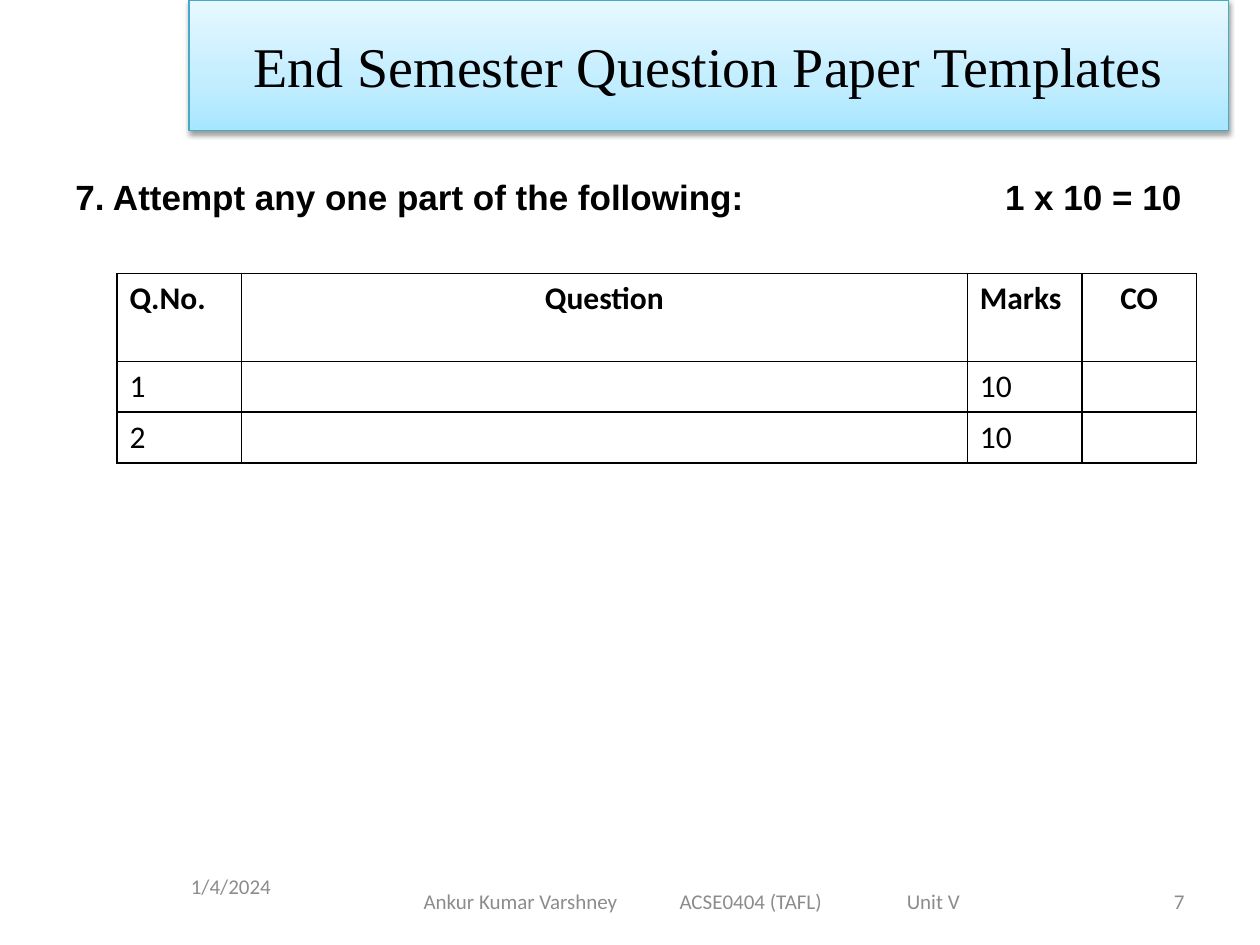
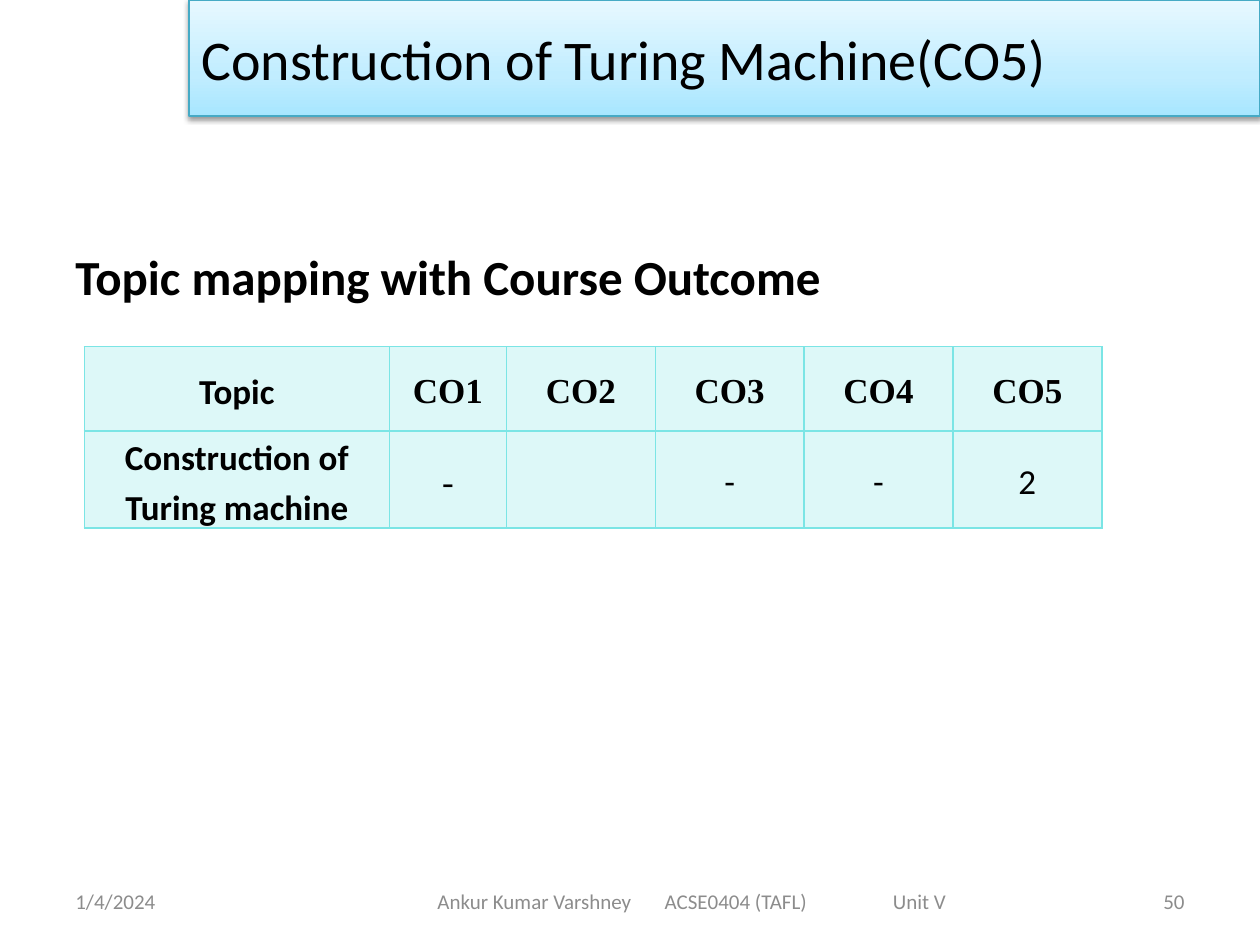
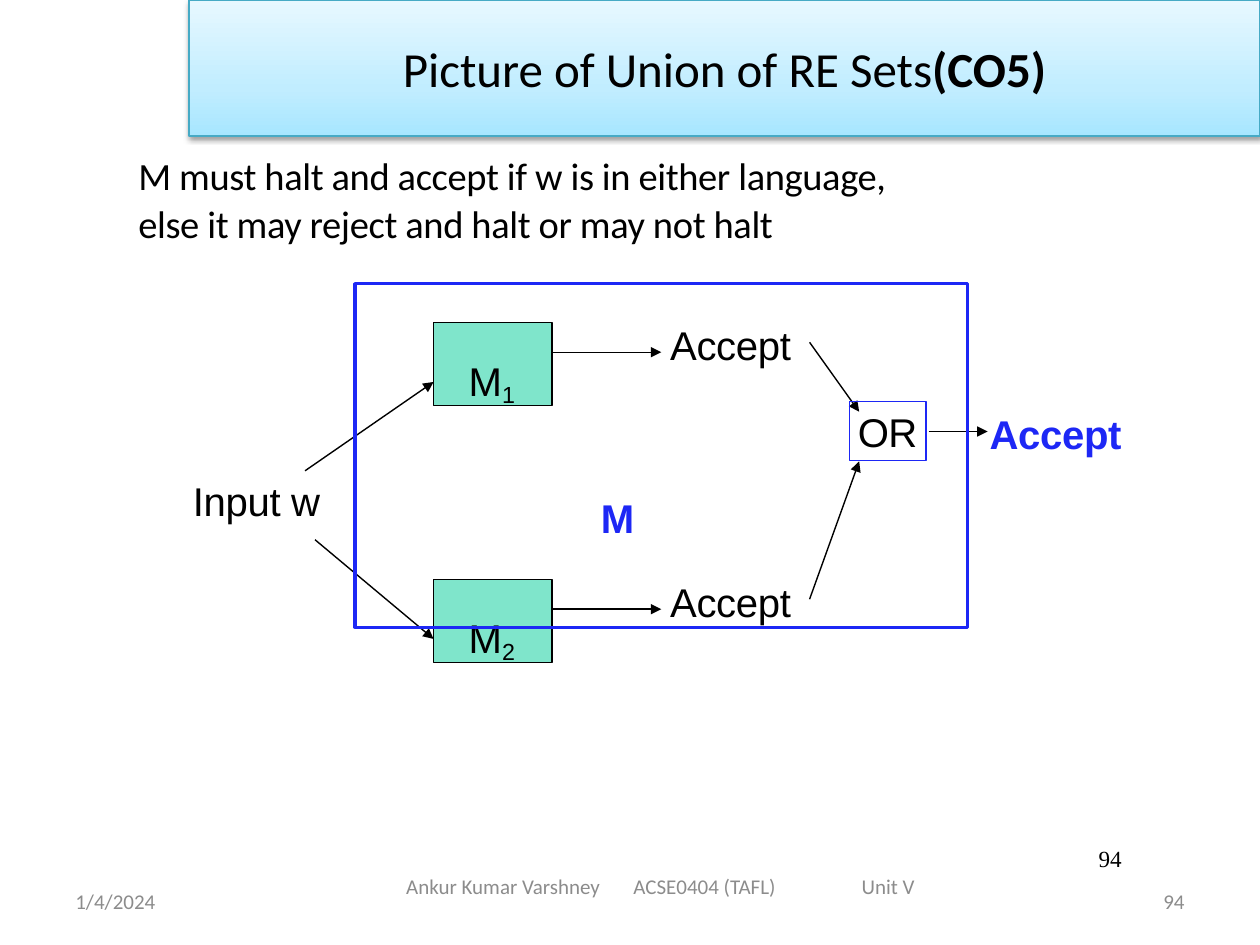
from copy import deepcopy

from lxml import etree
from pptx import Presentation
from pptx.dml.color import RGBColor
from pptx.enum import shapes, text
from pptx.oxml.ns import qn
from pptx.util import Cm, Pt

BLACK = RGBColor(0x00, 0x00, 0x00)
WHITE = RGBColor(0xFF, 0xFF, 0xFF)
GREY = RGBColor(0x8C, 0x8C, 0x8C)
BLUE = RGBColor(0x1D, 0x27, 0xF5)
GREEN = RGBColor(0x00, 0xCC, 0x99)
AQUA = RGBColor(0x7B, 0xE5, 0xE5)
BAND_LINE = RGBColor(0x46, 0xAA, 0xC5)
BAND_STOPS = [(0, RGBColor(0xA7, 0xE6, 0xFF)), (0.35, RGBColor(0xC1, 0xED, 0xFF)),
              (1, RGBColor(0xE7, 0xF8, 0xFF))]

LEFT, CENTER, RIGHT = text.PP_ALIGN.LEFT, text.PP_ALIGN.CENTER, text.PP_ALIGN.RIGHT
TOP, MIDDLE = text.MSO_ANCHOR.TOP, text.MSO_ANCHOR.MIDDLE
FOOTER_TOP = 17.65
DIAGRAM_SIZE = 22.9


# Shared helpers
def add_child(parent, tag, **attributes):
    return etree.SubElement(parent, qn(tag), attributes)


def set_opacity(properties, percent):
    color = properties.find(f"{qn('a:solidFill')}/{qn('a:srgbClr')}")
    add_child(color, "a:alpha", val=str(percent * 1000))


def write(paragraph, words, size, font="Calibri", color=BLACK, bold=False,
          align=LEFT, tabs=(), spacing=0):
    """Fill a paragraph; tabs are (position in cm, alignment) pairs."""
    paragraph.text = words
    paragraph.alignment = align
    if tabs:
        tab_list = add_child(paragraph._p.get_or_add_pPr(), "a:tabLst")
        for position, side in tabs:
            add_child(tab_list, "a:tab", pos=str(int(Cm(position))), algn=side)
    paragraph.font.size = Pt(size)
    paragraph.font.name = font
    paragraph.font.color.rgb = color
    paragraph.font.bold = bold
    if spacing:
        for run in paragraph.runs:
            run._r.get_or_add_rPr().set("spc", str(int(spacing * 100)))


def set_frame(shape, margins, anchor, wrap):
    frame = shape.text_frame
    frame.word_wrap = wrap
    frame.vertical_anchor = anchor
    frame.margin_left, frame.margin_top, frame.margin_right, frame.margin_bottom = map(Cm, margins)
    return frame.paragraphs[0]


def add_text(slide, box, words, size, margins=(0.25, 0.13, 0.25, 0.13),
             anchor=MIDDLE, wrap=True, **style):
    shape = slide.shapes.add_textbox(*map(Cm, box))
    paragraph = set_frame(shape, margins, anchor, wrap)
    write(paragraph, words, size, **style)
    return paragraph


# Title band and footer
def add_band(slide, width, height, words, size, **style):
    title = slide.shapes.title
    title.left, title.top, title.width, title.height = Cm(3.81), 0, Cm(width), Cm(height)
    title.fill.gradient()
    title.fill.gradient_angle = 90
    stop_list = title._element.spPr.find(f".//{qn('a:gsLst')}")
    stop_list.append(deepcopy(stop_list[0]))
    for stop, (position, color) in zip(title.fill.gradient_stops, BAND_STOPS):
        stop.position = position
        stop.color.rgb = color
    title.line.color.rgb = BAND_LINE
    title.line.width = Pt(0.75)
    effects = add_child(title._element.spPr, "a:effectLst")
    shadow = add_child(effects, "a:outerShdw", blurRad="40000", dist="20000",
                       dir="5400000", rotWithShape="0")
    add_child(add_child(shadow, "a:srgbClr", val="000000"), "a:alpha", val="38000")
    title.text_frame.auto_size = text.MSO_AUTO_SIZE.NONE
    title.text_frame.vertical_anchor = MIDDLE
    paragraph = title.text_frame.paragraphs[0]
    write(paragraph, words, size, **style)
    return paragraph


def add_footer(slide, number, date_box=(1.27, FOOTER_TOP, 5.92, 1.02), date_align=LEFT,
               left=6.98, top=FOOTER_TOP, inset=1.84, stops=(4.58, 9.18)):
    add_text(slide, date_box, "1/4/2024", 12, color=GREY, align=date_align)
    add_text(slide, (left, top, 13.97, 1.02),
             "Ankur Kumar Varshney\tACSE0404 (TAFL)\tUnit V", 12, color=GREY,
             margins=(inset, 0.13, 0, 0.13), tabs=[(stop, "l") for stop in stops])
    add_text(slide, (18.21, FOOTER_TOP, 5.92, 1.02), number, 12, color=GREY, align=RIGHT)


# Tables
def add_grid(slide, left, top, columns, rows, border, fill, opacity=100):
    table = slide.shapes.add_table(len(rows), len(columns), Cm(left), Cm(top),
                                   Cm(sum(columns)), Cm(sum(rows))).table
    table.first_row = table.horz_banding = False
    for column, width in zip(table.columns, columns):
        column.width = Cm(width)
    for row, height in zip(table.rows, rows):
        row.height = Cm(height)
    for cell in table.iter_cells():
        properties = cell._tc.get_or_add_tcPr()
        for side in "LRTB":
            line = add_child(properties, f"a:ln{side}", w=str(int(Pt(1))))
            add_child(add_child(line, "a:solidFill"), "a:srgbClr", val=str(border))
        cell.fill.solid()
        cell.fill.fore_color.rgb = fill
        if opacity < 100:
            set_opacity(properties, opacity)
    return table


# Diagram parts
def add_box(slide, box, line_color, line_width, fill=None):
    shape = slide.shapes.add_shape(shapes.MSO_SHAPE.RECTANGLE, *map(Cm, box))
    shape.shadow.inherit = False
    shape.line.color.rgb = line_color
    shape.line.width = Pt(line_width)
    if fill is None:
        shape.fill.background()
    else:
        shape.fill.solid()
        shape.fill.fore_color.rgb = fill
        set_opacity(shape._element.spPr, 50)
    return shape


def add_machine(slide, left, top, index):
    machine = add_box(slide, (left, top, 2.39, 1.68), BLACK, 0.8, GREEN)
    paragraph = set_frame(machine, (0.71, 0.69, 0, 0), TOP, False)
    write(paragraph, "M", DIAGRAM_SIZE, "Arial")
    subscript = paragraph.add_run()
    subscript.text = index
    subscript._r.get_or_add_rPr().set("baseline", "-16000")


def add_arrow(slide, *ends):
    arrow = slide.shapes.add_connector(shapes.MSO_CONNECTOR.STRAIGHT, *map(Cm, ends))
    arrow.line.color.rgb = BLACK
    arrow.line.width = Pt(0.8)
    properties = arrow._element.spPr
    add_child(properties.find(qn("a:ln")), "a:tailEnd", type="triangle")
    add_child(properties, "a:effectLst")


def add_label(slide, left, middle, width, words, size=DIAGRAM_SIZE, font="Arial", **style):
    add_text(slide, (left, middle - 0.5, width, 1), words, size, margins=(0, 0, 0, 0),
             wrap=False, font=font, **style)


# Slides
def build_question_paper(slide):
    add_band(slide, 20.95, 2.63, "End Semester Question Paper Templates", 32,
             font="Times New Roman", align=CENTER)
    add_text(slide, (1.27, 3.4, 22.86, 1.2),
             "7. Attempt any one part of the following:\t1 x 10 = 10", 20, font="Arial",
             bold=True, anchor=TOP, tabs=[(22.3, "r")])
    table = add_grid(slide, 2.36, 5.51, (2.51, 14.63, 2.31, 2.31), (1.78, 1.02, 1.02),
                     BLACK, WHITE)
    rows = [("Q.No.", "Question", "Marks", "CO"), ("1", "", "10", ""), ("2", "", "10", "")]
    for row, values in enumerate(rows):
        for column, value in enumerate(values):
            write(table.cell(row, column).text_frame.paragraphs[0], value, 18,
                  bold=row == 0, align=CENTER if column in (1, 3) else LEFT)
    add_footer(slide, "7", date_box=(0.63, 17.35, 8.05, 1.02), date_align=CENTER,
               inset=1.56, stops=(5.16, 9.74))


def build_topic_mapping(slide):
    add_band(slide, 21.59, 2.34, "Construction of Turing Machine(CO5)", 32)
    add_text(slide, (1.27, 4.83, 22.86, 1.47), "Topic mapping with Course Outcome", 28,
             bold=True, anchor=TOP)
    table = add_grid(slide, 1.7, 6.99, (6.15, 2.36, 3, 3, 3, 3), (1.7, 1.9), AQUA, AQUA, 25)
    rows = [("Topic", "CO1", "CO2", "CO3", "CO4", "CO5"),
            ("Construction of Turing machine", "-", "", "-", "-", "2")]
    for row, values in enumerate(rows):
        for column, value in enumerate(values):
            cell = table.cell(row, column)
            cell.vertical_anchor = MIDDLE
            cell.margin_left = cell.margin_right = Cm(0.18)
            cell.margin_top = cell.margin_bottom = 0
            paragraph = cell.text_frame.paragraphs[0]
            serif = column == 1 or (row == 0 and column > 1)
            write(paragraph, value, 20, font="Times New Roman" if serif else "Calibri",
                  bold=row == 0 or column == 0, align=CENTER)
            paragraph.line_spacing = 1.15
    add_footer(slide, "50")


def build_union_diagram(slide):
    title = add_band(slide, 21.59, 2.74, "Picture of Union of RE Sets", 28, align=CENTER)
    outcome = title.add_run()
    outcome.text = "(CO5)"
    outcome.font.bold = True
    statement = add_text(slide, (2.79, 2.95, 15.75, 1.98),
                         "M must halt and accept if w is in either language, "
                         "else it may reject and halt or may not halt", 22,
                         margins=(0, 0.08, 0, 0), anchor=TOP, spacing=-0.2)
    statement.line_spacing = Pt(27.4)

    # Two machines, each feeding the OR gate
    branches = [(6.5, "1", (6.15, 9.49), 8.3), (11.68, "2", (6.35, 10.88), 9.3)]
    for top, index, input_point, gate_y in branches:
        add_machine(slide, 8.74, top, index)
        add_arrow(slide, *input_point, 8.74, top + 1.2)
        add_arrow(slide, 11.15, top + 0.6, 13.33, top + 0.6)
        add_label(slide, 13.51, top + 0.45, 2.6, "Accept", spacing=-0.2)
        add_arrow(slide, 16.32, top + 0.4, 17.32, gate_y)
    gate = add_box(slide, (17.12, 8.1, 1.55, 1.19), BLUE, 0.8)
    write(set_frame(gate, (0, 0, 0, 0), MIDDLE, False), "OR", DIAGRAM_SIZE, "Arial",
          align=CENTER, spacing=-0.3)
    add_arrow(slide, 18.72, 8.7, 19.91, 8.7)

    # Enclosing machine with its input and result
    add_box(slide, (7.16, 5.72, 12.34, 6.93), BLUE, 1.87)
    add_label(slide, 11.95, 10.44, 1, "M", color=BLUE, bold=True, align=CENTER)
    add_label(slide, 3.89, 10.1, 2.7, "Input w", spacing=-0.2)
    add_label(slide, 19.95, 8.74, 2.8, "Accept", color=BLUE, bold=True, spacing=-0.2)
    add_label(slide, 22.15, 17.3, 0.6, "94", 13.2, "Times New Roman")
    add_footer(slide, "94", left=6.35, top=17.35)


def main():
    presentation = Presentation()
    presentation.slide_width, presentation.slide_height = Cm(25.4), Cm(19.05)
    title_only = presentation.slide_layouts[5]
    for build in (build_question_paper, build_topic_mapping, build_union_diagram):
        build(presentation.slides.add_slide(title_only))
    presentation.save("out.pptx")


if __name__ == "__main__":
    main()
